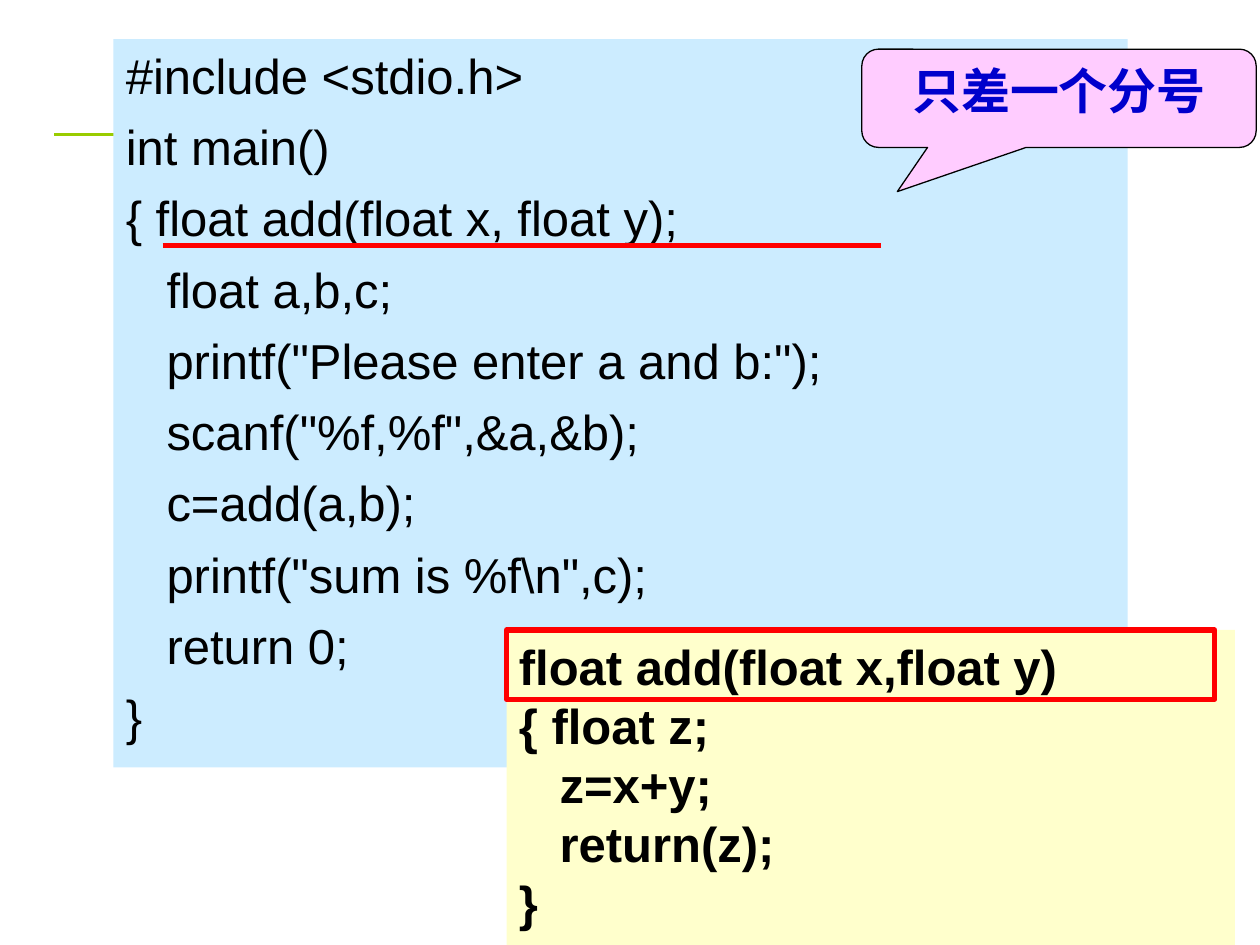
from pptx import Presentation
from pptx.dml.color import RGBColor
from pptx.enum.shapes import MSO_CONNECTOR as Connector, MSO_SHAPE as Shape
from pptx.enum.text import MSO_ANCHOR as Anchor, PP_ALIGN as Align
from pptx.oxml.ns import qn
from pptx.util import Inches, Pt
from lxml.etree import SubElement

COLORS = {
    "rule": "99CC00", "main": "CCECFF", "function": "FFFFCC", "callout": "FFCCFF",
    "code": "000000", "note": "0000CC", "mark": "FF0000",
}
MAIN_CODE = [
    "#include <stdio.h>",
    "int main()",
    "{ float add(float x, float y);",
    "   float a,b,c;",
    "   printf(\"Please enter a and b:\");",
    "   scanf(\"%f,%f\",&a,&b);",
    "   c=add(a,b);",
    "   printf(\"sum is %f\\n\",c);",
    "   return 0;",
    "}",
]
FUNCTION_CODE = [
    "float add(float x,float y)",
    "{ float z;",
    "   z=x+y;",
    "   return(z);",
    "}",
]
NOTE = ["只差一个分号"]
FONT, FONT_SIZE, CODE_LINE = "Arial", Pt(28), Pt(33.7)
FUNCTION_LEFT, FUNCTION_TOP = 4.02, 5


def rgb(name):
    return RGBColor.from_string(COLORS[name])


def add_box(slide, kind, box, fill=None, line=None, width=0.75):
    shape = slide.shapes.add_shape(kind, *map(Inches, box))
    shape.shadow.inherit = False
    if fill:
        shape.fill.solid()
        shape.fill.fore_color.rgb = rgb(fill)
    else:
        shape.fill.background()
    if line:
        shape.line.color.rgb = rgb(line)
        shape.line.width = Pt(width)
    else:
        shape.line.fill.background()
    return shape


def add_text(shape, lines, color="code", bold=False, align=Align.LEFT,
             spacing=None, gap=0):
    """Write one paragraph per line, with gap points between them."""
    frame = shape.text_frame
    frame.word_wrap = True
    frame.vertical_anchor = Anchor.TOP
    for index, line in enumerate(lines):
        paragraph = frame.add_paragraph() if index else frame.paragraphs[0]
        paragraph.alignment = align
        paragraph.space_before = Pt(gap if index else 0)
        if spacing:
            paragraph.line_spacing = spacing
        run = paragraph.add_run()
        run.text = line
        run.font.name = FONT
        run.font.size = FONT_SIZE
        run.font.bold = bold
        run.font.color.rgb = rgb(color)


def add_horizontal_line(slide, left, right, y, color, width):
    line = slide.shapes.add_connector(
        Connector.STRAIGHT, Inches(left), Inches(y), Inches(right), Inches(y))
    line.line.color.rgb = rgb(color)
    line.line.width = Pt(width)
    SubElement(line._element.spPr, qn("a:effectLst"))


def main():
    presentation = Presentation()
    presentation.slide_width = Inches(10)
    presentation.slide_height = Inches(7.5)
    slide = presentation.slides.add_slide(presentation.slide_layouts[6])

    add_horizontal_line(slide, 0.43, 9.6, 1.07, "rule", 1.5)

    main_box = add_box(slide, Shape.RECTANGLE, (0.9, 0.31, 8.05, 5.78), "main")
    add_text(main_box, MAIN_CODE, spacing=CODE_LINE, gap=7)

    function_box = add_box(slide, Shape.RECTANGLE,
                           (FUNCTION_LEFT, FUNCTION_TOP, 5.78, 2.5), "function")
    add_text(function_box, FUNCTION_CODE, bold=True, spacing=CODE_LINE)

    callout = add_box(slide, Shape.ROUNDED_RECTANGULAR_CALLOUT,
                      (6.84, 0.39, 3.13, 0.78), "callout", "code")
    for index, value in enumerate((-0.41, 0.95, 0.17)):
        callout.adjustments[index] = value
    add_text(callout, NOTE, "note", bold=True, align=Align.CENTER)

    add_horizontal_line(slide, 1.29, 6.99, 1.95, "mark", 3)
    add_box(slide, Shape.RECTANGLE, (FUNCTION_LEFT, FUNCTION_TOP, 5.62, 0.55),
            line="mark", width=3)

    presentation.save("out.pptx")


if __name__ == "__main__":
    main()
